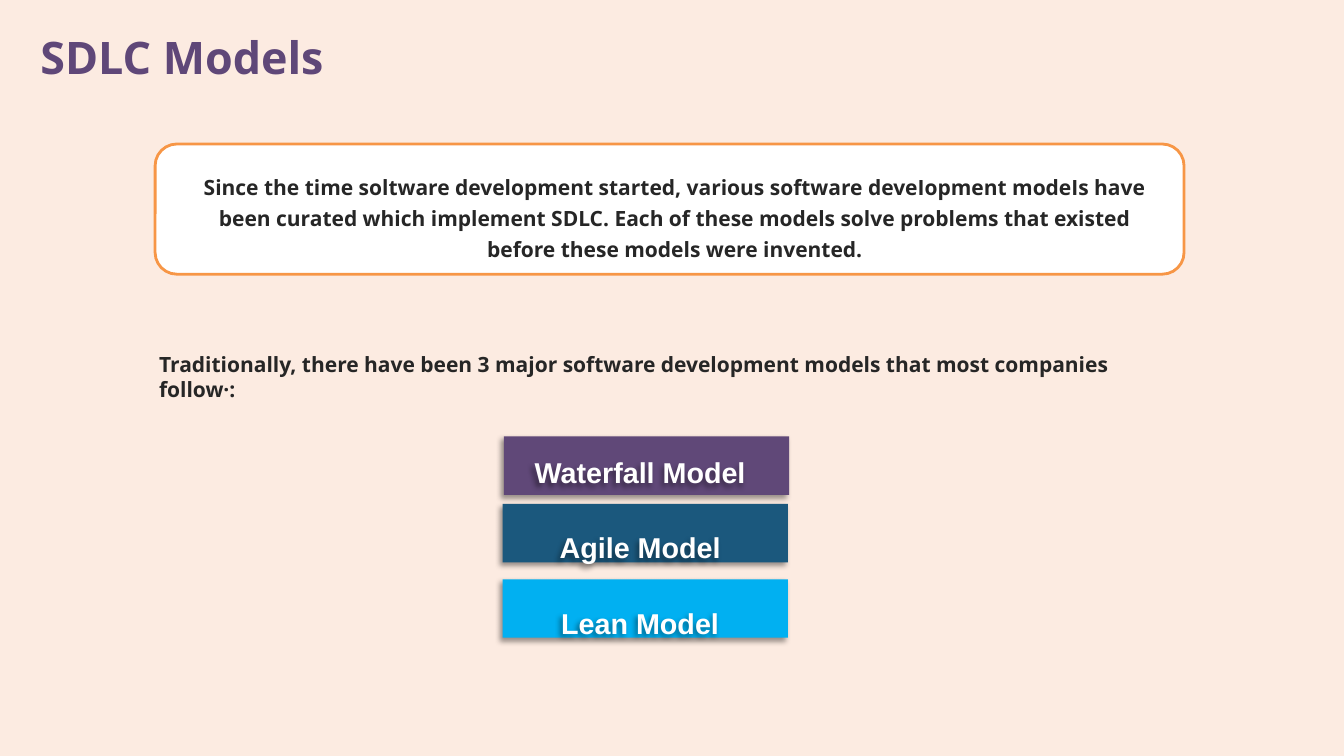
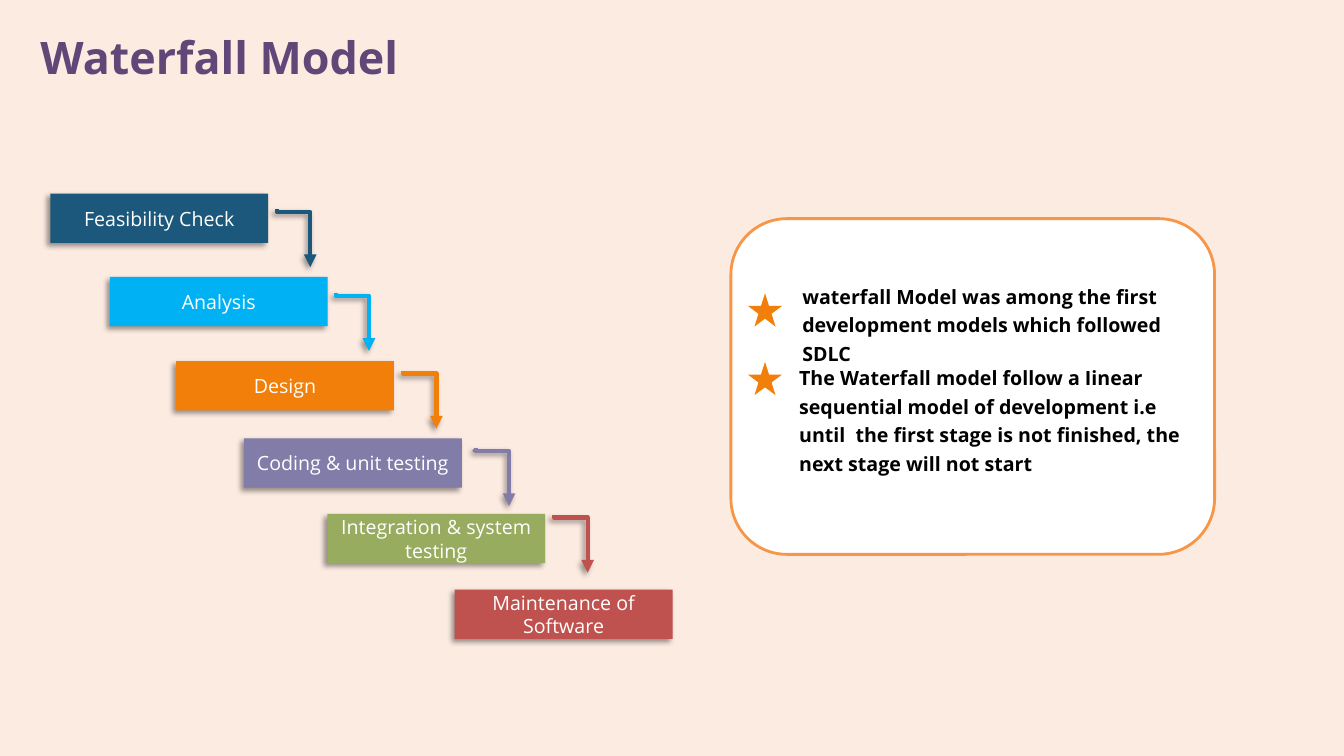
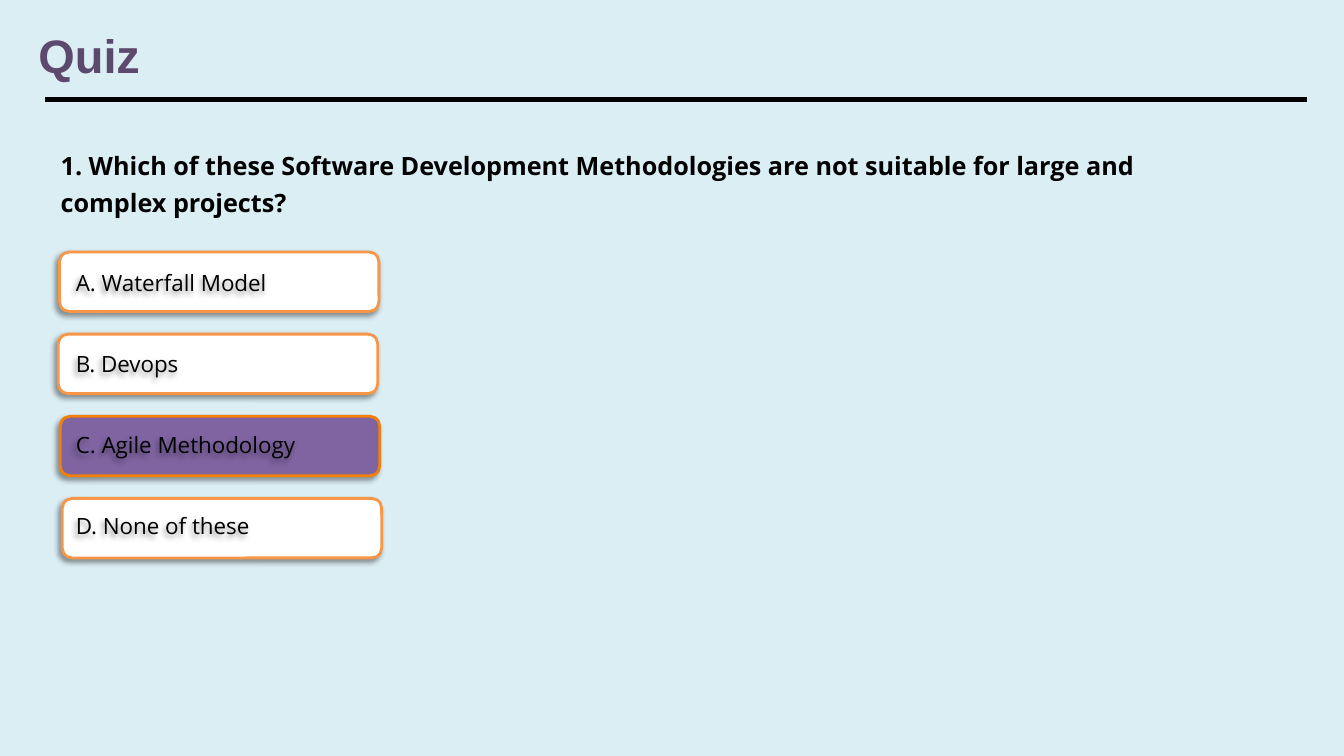
from dataclasses import dataclass

import pptx
import pptx.dml.color
import pptx.enum.shapes
import pptx.enum.text
import pptx.oxml
import pptx.oxml.ns
import pptx.util

Cm = pptx.util.Cm
Pt = pptx.util.Pt
SHAPE = pptx.enum.shapes.MSO_SHAPE
CONNECTOR = pptx.enum.shapes.MSO_CONNECTOR
ALIGN = pptx.enum.text.PP_ALIGN
ANCHOR = pptx.enum.text.MSO_ANCHOR
qn = pptx.oxml.ns.qn


@dataclass(frozen=True)
class Theme:
    peach: str = "FCEBE1"
    ice: str = "DBEEF4"
    white: str = "FFFFFF"
    black: str = "000000"
    charcoal: str = "262626"
    title: str = "5F4778"
    quiz_title: str = "5E496E"
    border: str = "F79646"
    orange: str = "F17F09"
    plum: str = "604878"
    navy: str = "1B587D"
    sky: str = "01B0F1"
    step_navy: str = "1C587C"
    step_sky: str = "00B2F3"
    lavender: str = "827CA8"
    olive: str = "97AC5F"
    brick: str = "BF514E"
    answer: str = "8064A2"
    dot: str = "918DB0"
    body_font: str = "Open Sans"
    label_font: str = "Arial"
    dot_font: str = "TeX Gyre Adventor"
    title_size: float = 32
    quiz_title_size: float = 33.5
    model_size: float = 20.5
    question_size: float = 18
    option_size: float = 16
    body_size: float = 15
    step_size: float = 14
    dot_size: float = 7
    border_width: float = 2
    line_width: float = 3


THEME = Theme()


def rgb(colour):
    return pptx.dml.color.RGBColor.from_string(colour)


class Deck:
    def __init__(self):
        self.presentation = pptx.Presentation()
        self.presentation.slide_width = Cm(33.87)
        self.presentation.slide_height = Cm(19.05)
        self.slide = None

    def new_slide(self, background):
        self.slide = self.presentation.slides.add_slide(
            self.presentation.slide_layouts[6])
        fill = self.slide.background.fill
        fill.solid()
        fill.fore_color.rgb = rgb(background)

    def effects(self, element, shadow):
        """Replace inherited effects by none, or by the soft lower-left shadow."""
        properties = element._element.spPr
        effect_list = properties.find(qn("a:effectLst"))
        if effect_list is None:
            effect_list = pptx.oxml.parse_xml(
                f"<a:effectLst {pptx.oxml.ns.nsdecls('a')}/>")
            properties.append(effect_list)
        if shadow:
            effect_list.append(pptx.oxml.parse_xml(
                f'<a:outerShdw {pptx.oxml.ns.nsdecls("a")} blurRad="{Pt(4)}" '
                f'dist="{Pt(3)}" dir="8100000" algn="tr" rotWithShape="0">'
                '<a:srgbClr val="000000"><a:alpha val="40000"/></a:srgbClr>'
                '</a:outerShdw>'))

    def add_words(self, frame, words, size, colour, bold, font, align, spacing):
        frame.word_wrap = True
        paragraph = frame.paragraphs[0]
        paragraph.alignment = align
        paragraph.line_spacing = spacing
        run = paragraph.add_run()
        run.text = words
        run.font.name = font
        run.font.size = Pt(size)
        run.font.bold = bold
        run.font.color.rgb = rgb(colour)

    def text(self, words, left, top, width, height, size, colour=THEME.black,
             bold=True, font=THEME.body_font, align=ALIGN.LEFT, spacing=1.0,
             inset=0.03, shadow=False):
        box = self.slide.shapes.add_textbox(
            Cm(left), Cm(top), Cm(width), Cm(height))
        frame = box.text_frame
        frame.margin_left, frame.margin_top = Cm(inset), Cm(0.05)
        frame.margin_right = frame.margin_bottom = 0
        self.add_words(frame, words, size, colour, bold, font, align, spacing)
        if shadow:
            self.effects(box, shadow)

    def title(self, words):
        self.text(words, 0.99, 0.71, 18, 1.4, THEME.title_size, THEME.title)

    def shape(self, kind, left, top, width, height, fill, border=None,
              shadow=False):
        shape = self.slide.shapes.add_shape(
            kind, Cm(left), Cm(top), Cm(width), Cm(height))
        shape.fill.solid()
        shape.fill.fore_color.rgb = rgb(fill)
        if border:
            shape.line.color.rgb = rgb(border)
            shape.line.width = Pt(THEME.border_width)
        else:
            shape.line.fill.background()
        shape.shadow.inherit = False
        self.effects(shape, shadow)
        return shape

    def card(self, left, top, width, height, fill=THEME.white,
             border=THEME.border, shadow=False):
        self.shape(SHAPE.ROUNDED_RECTANGLE, left, top, width, height, fill,
                   border, shadow)

    def step(self, words, left, top, fill):
        block = self.shape(SHAPE.RECTANGLE, left, top, 5.49, 1.24, fill,
                           shadow=True)
        block.text_frame.vertical_anchor = ANCHOR.MIDDLE
        self.add_words(block.text_frame, words, THEME.step_size, THEME.white,
                       False, THEME.body_font, ALIGN.CENTER, 1.0)

    def line(self, kind, left, top, width, height, colour):
        line = self.slide.shapes.add_connector(
            kind, Cm(left), Cm(top), Cm(left + width), Cm(top + height))
        line.line.color.rgb = rgb(colour)
        line.line.width = Pt(THEME.line_width)
        return line

    def step_arrow(self, left, top, colour):
        """Draw an elbow that runs right and then down, turned on its side."""
        across, drop = 0.84, 1.45
        shift = (drop - across) / 2
        arrow = self.line(CONNECTOR.ELBOW, left - shift, top + shift,
                          drop, across, colour)
        properties = arrow._element.spPr
        frame = properties.find(qn("a:xfrm"))
        frame.set("rot", "16200000")
        frame.set("flipH", "1")
        bend = properties.find(qn("a:prstGeom")).get_or_add_avLst()
        bend.append(pptx.oxml.parse_xml(
            f'<a:gd {pptx.oxml.ns.nsdecls("a")} name="adj1" fmla="val 4400"/>'))
        properties.find(qn("a:ln")).append(pptx.oxml.parse_xml(
            f'<a:tailEnd {pptx.oxml.ns.nsdecls("a")} type="triangle"/>'))
        self.effects(arrow, True)


def models_slide(deck):
    deck.new_slide(THEME.peach)
    deck.title("SDLC Models")
    deck.card(3.91, 3.63, 25.93, 3.28)
    deck.text("Since the time soltware development started, various software "
              "deveIopment modeIs have been curated which implement SDLC. Each "
              "of these models solve problems that existed before these models "
              "were invented.", 4.55, 4.19, 24.82, 2.34, THEME.body_size,
              THEME.charcoal, align=ALIGN.CENTER, spacing=1.24, inset=0.1)
    deck.text("Traditionally, there have been 3 major software development "
              "models that most companies follow·:", 3.91, 8.81, 25.53, 0.69,
              THEME.body_size, THEME.charcoal, inset=0.1)
    models = [("Waterfall Model", 12.7, 11, THEME.plum),
              ("Agile Model", 12.67, 12.7, THEME.navy),
              ("Lean Model", 12.67, 14.6, THEME.sky)]
    for row, (model, left, top, fill) in enumerate(models):
        deck.shape(SHAPE.RECTANGLE, left, top, 7.19, 1.47, fill, shadow=True)
        deck.text(model, 13.34, 11.41 + 1.9 * row, 5.56, 0.83,
                  THEME.model_size, THEME.white, font=THEME.label_font,
                  align=ALIGN.CENTER, shadow=True)


def waterfall_slide(deck):
    deck.new_slide(THEME.peach)
    deck.title("Waterfall Model")
    deck.card(18.42, 5.51, 12.19, 8.46)
    deck.text("•", 11.86, 11.13, 0.13, 0.33, THEME.dot_size, THEME.dot,
              False, THEME.dot_font)
    remarks = [
        ("waterfall Model was among the first development models which "
         "followed SDLC", 20.12, 6.99, 7.39),
        ("The Waterfall model follow a Iinear sequential model of development "
         "i.e until  the first stage is not finished, the next stage will not "
         "start", 20.04, 9.04, 9.12)]
    for remark, left, top, star_top in remarks:
        deck.text(remark, left, top, 10.26, 1.42, THEME.step_size,
                  spacing=1.22, inset=0.1)
        deck.shape(SHAPE.STAR_5_POINT, 18.85, star_top, 0.86, 0.84,
                   THEME.orange)
    steps = [
        ("Feasibility Check", 1.27, 4.88, THEME.step_navy, (6.98, 5.28)),
        ("Analysis", 2.77, 6.98, THEME.step_sky, (8.46, 7.39)),
        ("Design", 4.44, 9.1, THEME.orange, (10.16, 9.35)),
        ("Coding & unit testing", 6.15, 11.05, THEME.lavender, (11.99, 11.3)),
        ("Integration & system testing", 8.25, 12.95, THEME.olive, None),
        ("Maintenance of Software", 11.46, 14.86, THEME.brick, (13.97, 12.98))]
    for name, left, top, fill, arrow_start in steps:
        deck.step(name, left, top, fill)
        if arrow_start:
            deck.step_arrow(*arrow_start, fill)


def quiz_slide(deck):
    deck.new_slide(THEME.ice)
    rule = deck.line(CONNECTOR.STRAIGHT, 1.14, 2.51, 31.8, 0, THEME.black)
    deck.effects(rule, False)
    deck.text("Quiz", 0.94, 0.61, 3.07, 1.47, THEME.quiz_title_size,
              THEME.quiz_title, font=THEME.label_font)
    deck.text("1. Which of these Software Development Methodologies are not "
              "suitable for large and complex projects?", 1.5, 3.58, 28.98,
              1.83, THEME.question_size, spacing=1.22)
    options = [("A. Waterfall Model", 1.5, THEME.white, THEME.border),
               ("B. Devops", 1.47, THEME.white, THEME.border),
               ("C. Agile Methodology", 1.52, THEME.answer, THEME.orange),
               ("D. None of these", 1.57, THEME.white, THEME.border)]
    for row, (option, left, fill, border) in enumerate(options):
        deck.card(left, 6.35 + 2.07 * row, 8.05, 1.5, fill, border, True)
        deck.text(option, 1.88, 6.73 + 2.04 * row, 6.6, 0.71,
                  THEME.option_size, bold=False, shadow=True)


def main():
    deck = Deck()
    models_slide(deck)
    waterfall_slide(deck)
    quiz_slide(deck)
    deck.presentation.save("out.pptx")


if __name__ == "__main__":
    main()
